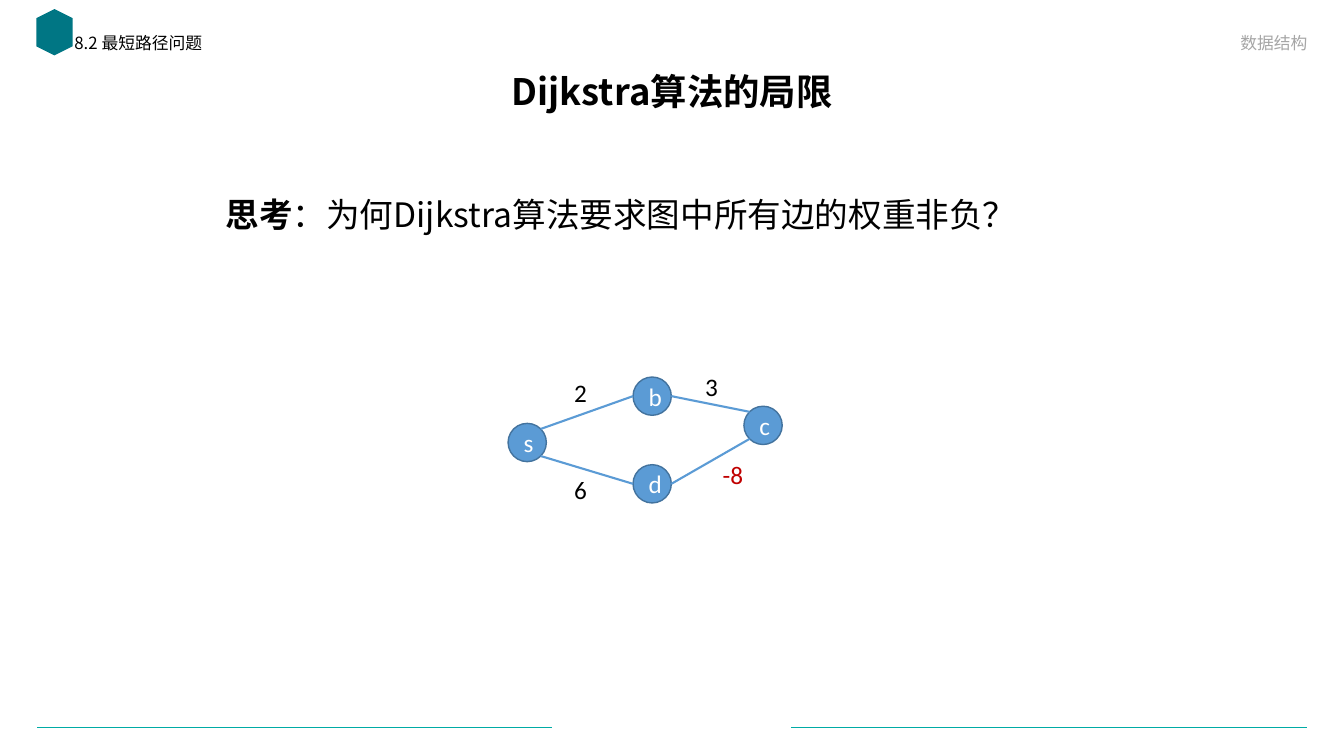
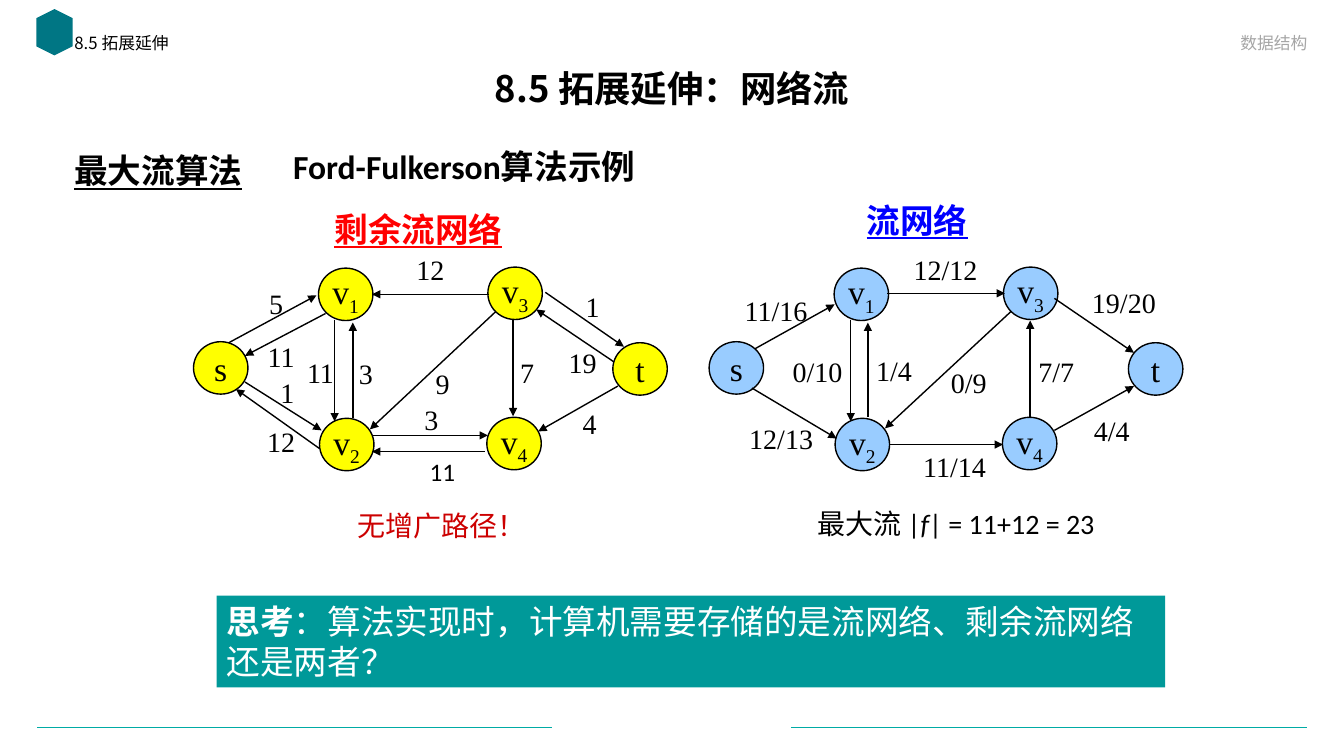
import math
import pptx
import pptx.util
import pptx.dml.color
import pptx.enum.shapes
import pptx.enum.text
import pptx.oxml
import pptx.oxml.ns

RGB = pptx.dml.color.RGBColor
SHAPE = pptx.enum.shapes.MSO_SHAPE
ALIGN = pptx.enum.text.PP_ALIGN
ANCHOR = pptx.enum.text.MSO_ANCHOR
Pt = pptx.util.Pt

CELL = pptx.util.Inches(0.1)
COLUMNS, ROWS = 133.33, 75

BLACK = RGB(0x00, 0x00, 0x00)
WHITE = RGB(0xFF, 0xFF, 0xFF)
GREY = RGB(0xA6, 0xA6, 0xA6)
TEAL = RGB(0x00, 0xAB, 0xA5)
BANNER_TEAL = RGB(0x00, 0x99, 0x99)
DARK_TEAL = RGB(0x00, 0x76, 0x84)
STEEL = RGB(0x5B, 0x9B, 0xD5)
STEEL_EDGE = RGB(0x43, 0x73, 0x9E)
YELLOW = RGB(0xFF, 0xFF, 0x00)
SKY = RGB(0x99, 0xCC, 0xFF)
BLUE = RGB(0x00, 0x00, 0xFF)
RED = RGB(0xFF, 0x00, 0x00)
DEEP_RED = RGB(0xC0, 0x00, 0x00)
NOTE_RED = RGB(0xCC, 0x00, 0x00)

HAN, SANS, SERIF = "Noto Sans CJK SC", "Calibri", "Times New Roman"

TITLE = {"size": Pt(26), "name": HAN, "bold": True}
SMALL = {"size": Pt(12), "name": HAN}
HEADING = {"size": Pt(24), "name": HAN}
NODE = {"size": Pt(24), "name": SERIF}
WEIGHT = {"size": Pt(20), "name": SERIF}
PLAIN = {"size": Pt(18), "name": SANS}
FORMULA = {"size": Pt(20), "name": SANS}
BOLD, ITALIC = {"bold": True}, {"italic": True}
SUBSCRIPT = {"baseline": -25000}
NETWORK_NAME = {"size": Pt(24), "name": SERIF, "bold": True, "underline": True}

COURSE = "数据结构"
RULE_ROW = 72.2
RULES = [(3.7, 54.8), (78.5, 129.7)]

LIMIT_QUESTION = [("思考", BOLD), ("：为何Dijkstra算法要求图中所有边的权重非负？", {})]
LIMIT_DIAMETER = 3.8
LIMIT_NODES = {"s": (52.3, 43.9), "b": (64.7, 39.3), "d": (64.7, 48), "c": (75.7, 42.2)}
COMPASS = {"E": 0, "SE": 45, "SW": 135, "W": 180, "NW": 225, "NE": 315}
LIMIT_EDGES = [
    ("s", "NE", "b", "W", "2", (57.6, 38.9), BLACK),
    ("s", "SE", "d", "W", "6", (57.6, 48.6), BLACK),
    ("b", "E", "c", "NW", "3", (70.6, 38.3), BLACK),
    ("d", "E", "c", "SW", "-8", (72.7, 47.1), DEEP_RED),
]

FLOW_NODE = (5.4, 5.2)
FLOW_NODES = {
    "s": (21.9, 36.5), "t": (63.5, 36.6), "v3": (51.1, 29.1),
    "v4": (51, 44), "v2": (34.4, 44.1), "v1": (34.3, 29.2),
}
RESIDUAL_EDGES = [
    ((33.2, 31.7), (33.2, 41.8), "11", (31.8, 36.9)),
    ((35, 41.5), (35, 32), "3", (36.3, 37)),
    ((48.5, 29.2), (36.9, 29.2), "12", (42.7, 26.7)),
    ((49.2, 30.9), (36.7, 42.6), "9", (43.9, 38)),
    ((50.9, 31.7), (50.9, 41.3), "7", (52.3, 36.9)),
    ((37, 43.2), (48.4, 43.2), "3", (42.8, 41.6)),
    ((54.1, 29), (61.9, 34.4), "1", (58.8, 30.4)),
    ((61.3, 38.3), (53.4, 42.8), "4", (58.5, 42)),
    ((22.7, 34), (31.4, 29.3), "5", (27.4, 30.1)),
    ((32.3, 31.1), (24.3, 35.3), "11", (27.9, 35.3)),
    ((24.3, 37.9), (31.9, 42.7), "1", (28.5, 38.9)),
    ((31.7, 44.5), (23.4, 38.6), "12", (27.9, 43.8)),
    ((48.1, 44.8), (36.9, 44.8), "11", (43.9, 46.8), PLAIN),
    ((60.9, 35.9), (53.2, 30.7), "19", (57.8, 35.9)),
]
FLOW_EDGES = [
    ((74.9, 34.6), (82.8, 30.2), "11/16", (77, 30.8)),
    ((74.6, 38.5), (83, 43.5), "12/13", (77.5, 43.5)),
    ((84.4, 31.7), (84.4, 41.8), "0/10", (81.1, 36.8)),
    ((86.1, 41.4), (86.1, 32), "1/4", (88.7, 36.7)),
    ((88, 29.1), (99.7, 29.1), "12/12", (93.8, 26.7)),
    ((100.3, 30.9), (87.8, 42.5), "0/9", (96.1, 37.9)),
    ((102.2, 41.4), (102.2, 31.8), "7/7", (104.8, 36.8)),
    ((88.2, 44.1), (99.5, 44.1), "11/14", (94.7, 46.3)),
    ((104.6, 29.6), (112.5, 35), "19/20", (111.5, 30)),
    ((104.6, 42.7), (112.5, 38.3), "4/4", (110.3, 42.7)),
]
NETWORKS = [(0, YELLOW, RESIDUAL_EDGES), (51.15, SKY, FLOW_EDGES)]

FLOW_TEXTS = [
    ((6.4, 14, 20, 6), [("最大流算法", {"underline": True})], {**HEADING, **BOLD}, BLACK, 1.1),
    ((28.1, 14, 38.6, 5), [("Ford-Fulkerson算法示例", {})], {**HEADING, "name": SANS, **BOLD}, BLACK, 1),
    ((85, 19.3, 14, 5), [("流网络", {})], NETWORK_NAME, BLUE, 1),
    ((32.2, 20.2, 21, 5), [("剩余流网络", {})], NETWORK_NAME, RED, 1),
    ((34.5, 50, 20, 4.4), [("无增广路径！", {})], WEIGHT, NOTE_RED, 1),
    ((80.1, 49.8, 41, 4.3), [("最大流 |", {}), ("f", ITALIC), ("| = 11+12 = 23", {})], FORMULA, BLACK, 1),
]
BANNER = (21.5, 59.1, 94.1, 9.1)
BANNER_QUESTION = [
    ("思考", BOLD),
    ("：算法实现时，计算机需要存储的是流网络、剩余流网络还是两者？", {}),
]


def cells(*counts):
    return [round(count * CELL) for count in counts]


def assign(target, values):
    for key, value in values.items():
        setattr(target, key, value)


def write(holder, runs, style, color, align=ALIGN.LEFT, anchor=ANCHOR.TOP, wrap=True, spacing=1):
    frame = holder.text_frame
    assign(frame, {"word_wrap": wrap, "vertical_anchor": anchor})
    paragraph = frame.paragraphs[0]
    assign(paragraph, {"alignment": align, "line_spacing": spacing})
    for text, extra in runs:
        run = paragraph.add_run()
        run.text = text
        values = {**style, **extra}
        baseline = values.pop("baseline", None)
        assign(run.font, values)
        run.font.color.rgb = color
        properties = run.font._element
        if baseline:
            properties.set("baseline", str(baseline))
        east_asian = pptx.oxml.parse_xml(f'<a:ea {pptx.oxml.ns.nsdecls("a")} typeface="{HAN}"/>')
        properties.find(pptx.oxml.ns.qn("a:latin")).addnext(east_asian)


def add_text(slide, box, runs, style, color=BLACK, **layout):
    write(slide.shapes.add_textbox(*cells(*box)), runs, style, color, **layout)


def add_block(slide, kind, box, fill, edge=None):
    block = slide.shapes.add_shape(kind, *cells(*box))
    block.shadow.inherit = False
    block.fill.solid()
    block.fill.fore_color.rgb = fill
    if edge is None:
        block.line.fill.background()
    else:
        block.line.color.rgb = edge
        block.line.width = Pt(1)
    return block


def add_node(slide, center, size, fill, edge, runs, style, color, wrap):
    box = (center[0] - size[0] / 2, center[1] - size[1] / 2, *size)
    node = add_block(slide, SHAPE.OVAL, box, fill, edge)
    write(node, runs, style, color, align=ALIGN.CENTER, anchor=ANCHOR.MIDDLE, wrap=wrap)


def add_line(slide, start, end, color, width, arrow=False):
    line = slide.shapes.add_connector(
        pptx.enum.shapes.MSO_CONNECTOR.STRAIGHT, *cells(*start, *end))
    line.line.color.rgb = color
    line.line.width = Pt(width)
    namespace = pptx.oxml.ns.nsdecls("a")
    if arrow:
        line.line._get_or_add_ln().append(
            pptx.oxml.parse_xml(f'<a:tailEnd {namespace} type="triangle"/>'))
    line._element.spPr.append(pptx.oxml.parse_xml(f"<a:effectLst {namespace}/>"))


def add_weight(slide, text, center, style, color=BLACK):
    add_text(slide, (center[0] - 5, center[1] - 2.15, 10, 4.3), [(text, {})], style, color,
             align=ALIGN.CENTER, anchor=ANCHOR.MIDDLE)


def add_framed_slide(deck, section, title, title_row):
    slide = deck.slides.add_slide(deck.slide_layouts[6])
    for left, right in RULES:
        add_line(slide, (left, RULE_ROW), (right, RULE_ROW), TEAL, 0.5)
    add_block(slide, SHAPE.HEXAGON, (3.1, 1.4, 4.6, 3.6), DARK_TEAL).rotation = 90
    add_text(slide, (6.4, 3, 53.2, 3.6), [(section, {})], SMALL, spacing=0.9)
    add_text(slide, (74.3, 2.2, 56.4, 3.5), [(COURSE, {})], SMALL, GREY,
             align=ALIGN.RIGHT, anchor=ANCHOR.BOTTOM)
    add_text(slide, (9.2, title_row, 115, 5.7), [(title, {})], TITLE,
             align=ALIGN.CENTER, anchor=ANCHOR.MIDDLE, spacing=0.9)
    return slide


def rim_point(name, direction):
    angle = math.radians(COMPASS[direction])
    column, row = LIMIT_NODES[name]
    radius = LIMIT_DIAMETER / 2
    return column + radius * math.cos(angle), row + radius * math.sin(angle)


def build_limit_slide(deck):
    slide = add_framed_slide(deck, "8.2 最短路径问题", "Dijkstra算法的局限", 6.5)
    add_text(slide, (21.4, 18.7, 90, 5), LIMIT_QUESTION, HEADING)
    for name, center in LIMIT_NODES.items():
        add_node(slide, center, (LIMIT_DIAMETER, LIMIT_DIAMETER), STEEL, STEEL_EDGE,
                 [(name, {})], PLAIN, WHITE, True)
    for source, leaving, target, entering, weight, center, color in LIMIT_EDGES:
        add_line(slide, rim_point(source, leaving), rim_point(target, entering), STEEL, 1.5)
        add_weight(slide, weight, center, PLAIN, color)


def build_flow_slide(deck):
    slide = add_framed_slide(deck, "8.5 拓展延伸", "8.5 拓展延伸：网络流", 6.2)
    for box, runs, style, color, spacing in FLOW_TEXTS:
        add_text(slide, box, runs, style, color, spacing=spacing)
    for shift, fill, edges in NETWORKS:
        for name, (column, row) in FLOW_NODES.items():
            runs = [(name[0], {})] + [(digit, SUBSCRIPT) for digit in name[1:]]
            add_node(slide, (column + shift, row), FLOW_NODE, fill, BLACK, runs, NODE, BLACK, False)
        for start, end, weight, center, *style in edges:
            add_line(slide, start, end, BLACK, 1, arrow=True)
            add_weight(slide, weight, center, style[0] if style else WEIGHT)
    banner = add_block(slide, SHAPE.RECTANGLE, BANNER, BANNER_TEAL)
    write(banner, BANNER_QUESTION, HEADING, WHITE)


def main():
    deck = pptx.Presentation()
    deck.slide_width, deck.slide_height = cells(COLUMNS, ROWS)
    build_limit_slide(deck)
    build_flow_slide(deck)
    deck.save("out.pptx")


if __name__ == "__main__":
    main()
